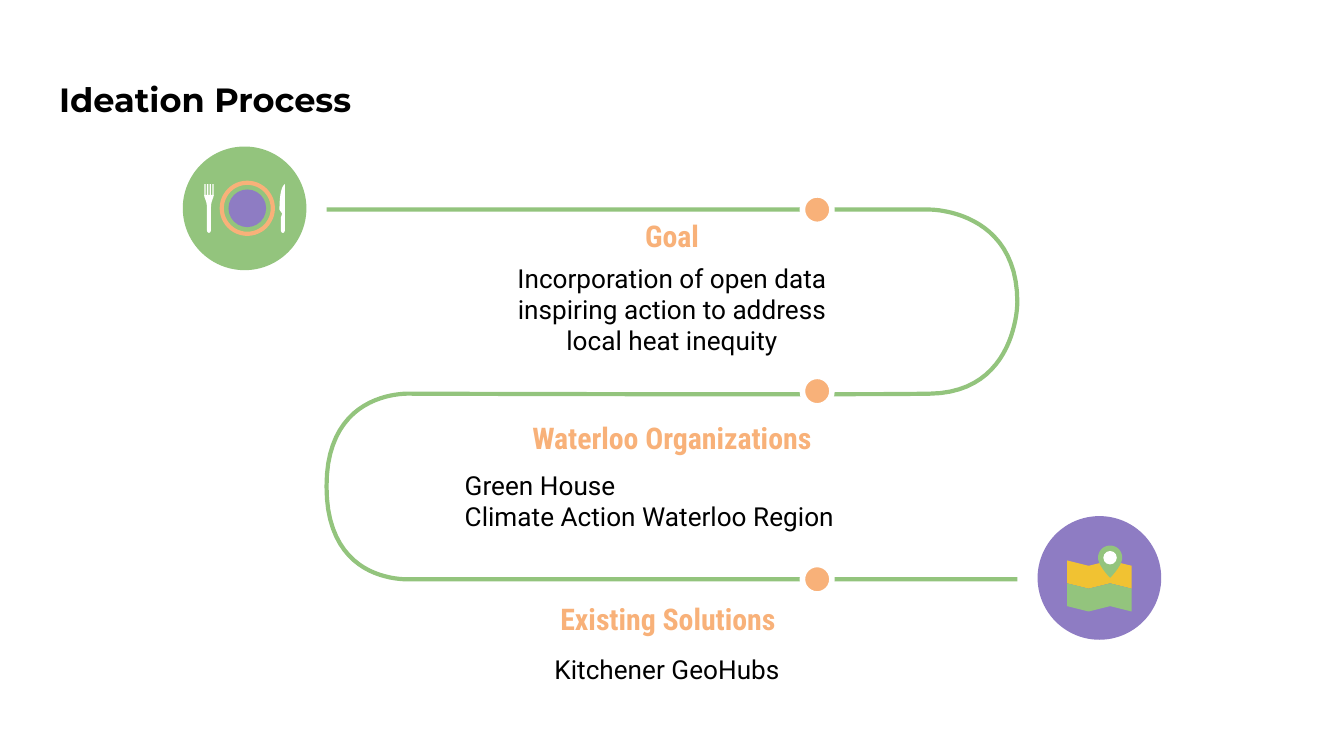
from pptx import Presentation
from pptx import util as u
from pptx.dml.color import RGBColor
from pptx.enum import shapes, text

PX = 9144
HUE = {"green": "93C47D", "peach": "F8B179", "plum": "8E7CC3",
       "gold": "F1C232", "white": "FFFFFF", "black": "000000"}
OVAL = shapes.MSO_SHAPE.OVAL
RECT = shapes.MSO_SHAPE.RECTANGLE
LEFT, MID, RIGHT = (text.PP_ALIGN.LEFT, text.PP_ALIGN.CENTER,
                    text.PP_ALIGN.RIGHT)

ROUTE = [(243, 156), (692, 156), (692, 156, 757, 156, 757, 225),
         (757, 225, 757, 292, 692, 293), (635, 294, 307, 293, 307, 293),
         (307, 293, 243, 288, 243, 362), (243, 437, 307, 431, 307, 431),
         (757, 431)]
PIN = [(826, 406), (821, 406, 817, 410, 817, 415),
       (817, 421, 826, 430, 826, 430), (826, 430, 835, 421, 835, 415),
       (835, 410, 831, 406, 826, 406)]
FORK = [(152, 145), (159, 145), (159, 148, 157, 149, 157, 155), (157, 171),
        (157, 174, 154, 174, 154, 171), (154, 155),
        (154, 149, 152, 148, 152, 145)]
KNIFE = [(212, 137), (209, 139, 208, 147, 208, 156), (210, 159), (209, 162),
         (209, 171), (209, 174, 212, 174, 212, 171)]

NOTES = [
    ("Goal", (359, 152, 282, 37),
     ["Incorporation of open data inspiring action to address "
      "local heat inequity"], (359, 185, 282, 84), MID),
    ("Waterloo Organizations", (325, 302, 350, 57),
     ["Green House", "Climate Action Waterloo Region"],
     (336, 339, 323, 89), LEFT),
    ("Existing Solutions", (386, 437, 222, 37),
     ["Kitchener GeoHubs"], (368, 476, 222, 60), RIGHT),
]


def px(*nums):
    return [u.Emu(round(n * PX)) for n in nums]


def rgb(name):
    return RGBColor.from_string(HUE[name])


def paint(shape, fill=None, line=None, width=0):
    shape.shadow.inherit = False
    if fill:
        shape.fill.solid()
        shape.fill.fore_color.rgb = rgb(fill)
    else:
        shape.fill.background()
    if line:
        shape.line.color.rgb = rgb(line)
        shape.line.width = u.Pt(width)
    else:
        shape.line.fill.background()


def block(slide, kind, box, *look):
    paint(slide.shapes.add_shape(kind, *px(*box)), *look)


def disc(slide, x, y, r, *look):
    block(slide, OVAL, (x - r, y - r, 2 * r, 2 * r), *look)


def trace(steps, count=24):
    dots = []
    for step in steps:
        if len(step) == 2:
            dots.append(step)
            continue
        ends = [dots[-1], step[:2], step[2:4], step[4:]]
        for i in range(1, count + 1):
            t = i / count
            mix = ((1 - t) ** 3, 3 * t * (1 - t) ** 2,
                   3 * t * t * (1 - t), t ** 3)
            dots.append(tuple(sum(m * e[k] for m, e in zip(mix, ends))
                              for k in (0, 1)))
    return [px(*dot) for dot in dots]


def outline(slide, steps, *look, close=True):
    first, *rest = trace(steps)
    pen = slide.shapes.build_freeform(*first)
    pen.add_line_segments(rest, close=close)
    paint(pen.convert_to_shape(), *look)


def write(shape, lines, font, size, color, align, bold=False):
    frame = shape.text_frame
    frame.word_wrap = True
    frame.auto_size = text.MSO_AUTO_SIZE.NONE
    frame.vertical_anchor = text.MSO_ANCHOR.TOP
    frame.margin_left = frame.margin_right = px(10)[0]
    frame.margin_top = frame.margin_bottom = px(10)[0]
    frame.text = "\n".join(lines)
    for par in frame.paragraphs:
        par.alignment = align
        par.font.name = font
        par.font.size = u.Pt(size)
        par.font.bold = bold
        par.font.color.rgb = rgb(color)


def title(slide):
    head = slide.shapes.title
    head.left, head.top, head.width, head.height = px(34, 49, 932, 50)
    write(head, ["Ideation Process"], "Montserrat", 18, "black", LEFT, True)


def note(slide, head, spot, lines, box, align):
    write(slide.shapes.add_textbox(*px(*spot)), [head],
          "Roboto Condensed", 16, "peach", MID, True)
    write(slide.shapes.add_textbox(*px(*box)), lines,
          "Roboto", 14, "black", align)


def meal(slide):
    disc(slide, 182, 155, 46, "green")
    disc(slide, 184, 155, 19, None, "peach", 2.25)
    disc(slide, 184, 155, 14, "plum")
    for i in range(4):
        block(slide, RECT, (152 + 2 * i, 137, 1, 9), "white")
    outline(slide, FORK, "white")
    outline(slide, KNIFE, "white")


def chart(slide):
    disc(slide, 818, 430, 46, "plum")
    for top, color in ((417, "gold"), (434, "green")):
        edge = [(794 + 16 * i, top + 4 * (i % 2)) for i in range(4)]
        base = [(x, y + 17) for x, y in reversed(edge)]
        outline(slide, edge + base, color)
    outline(slide, PIN, "green")
    disc(slide, 826, 415, 5, "white")


def main():
    deck = Presentation()
    deck.slide_width = px(1000)[0]
    deck.slide_height = u.Emu(deck.slide_width * 9 // 16)
    slide = deck.slides.add_slide(deck.slide_layouts[5])
    title(slide)
    outline(slide, ROUTE, None, "green", 2.25, close=False)
    for item in NOTES:
        note(slide, *item)
    for y in (156, 291, 431):
        disc(slide, 608, y, 11, "peach", "white", 3)
    chart(slide)
    meal(slide)
    deck.save("out.pptx")


if __name__ == "__main__":
    main()
